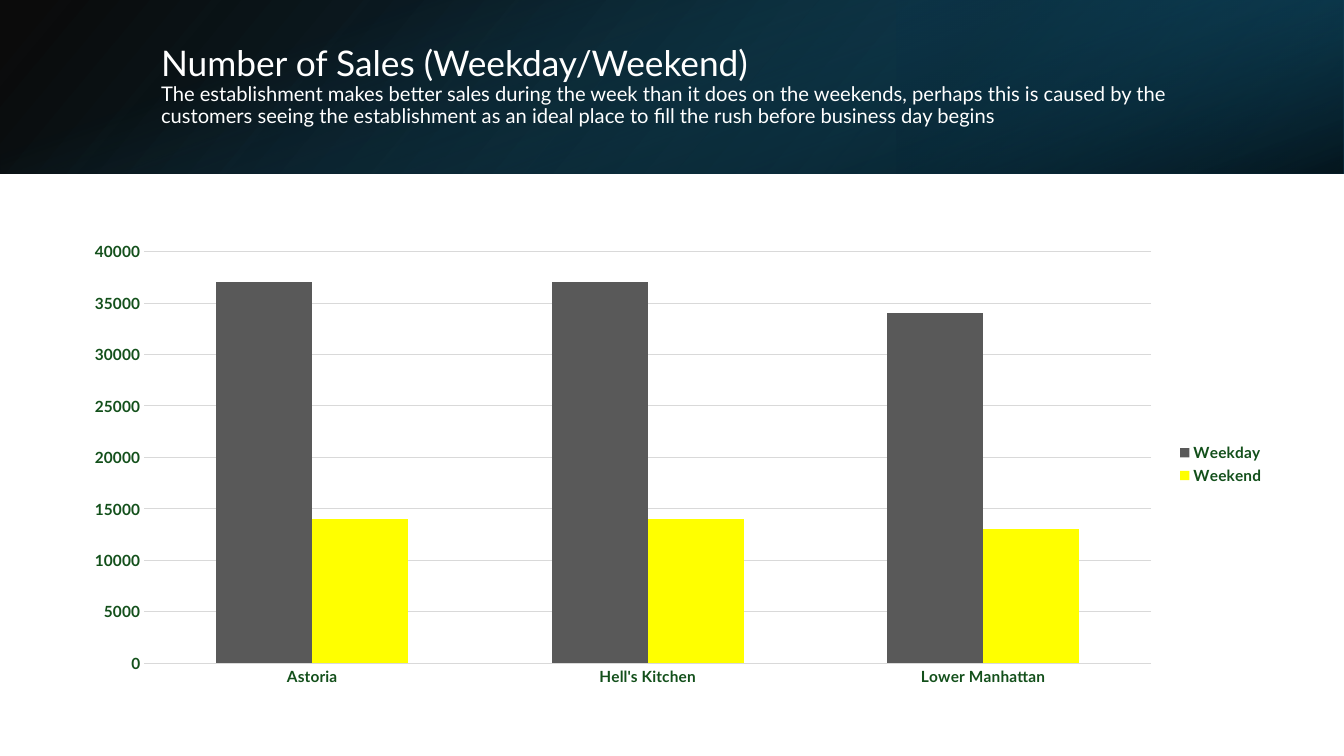
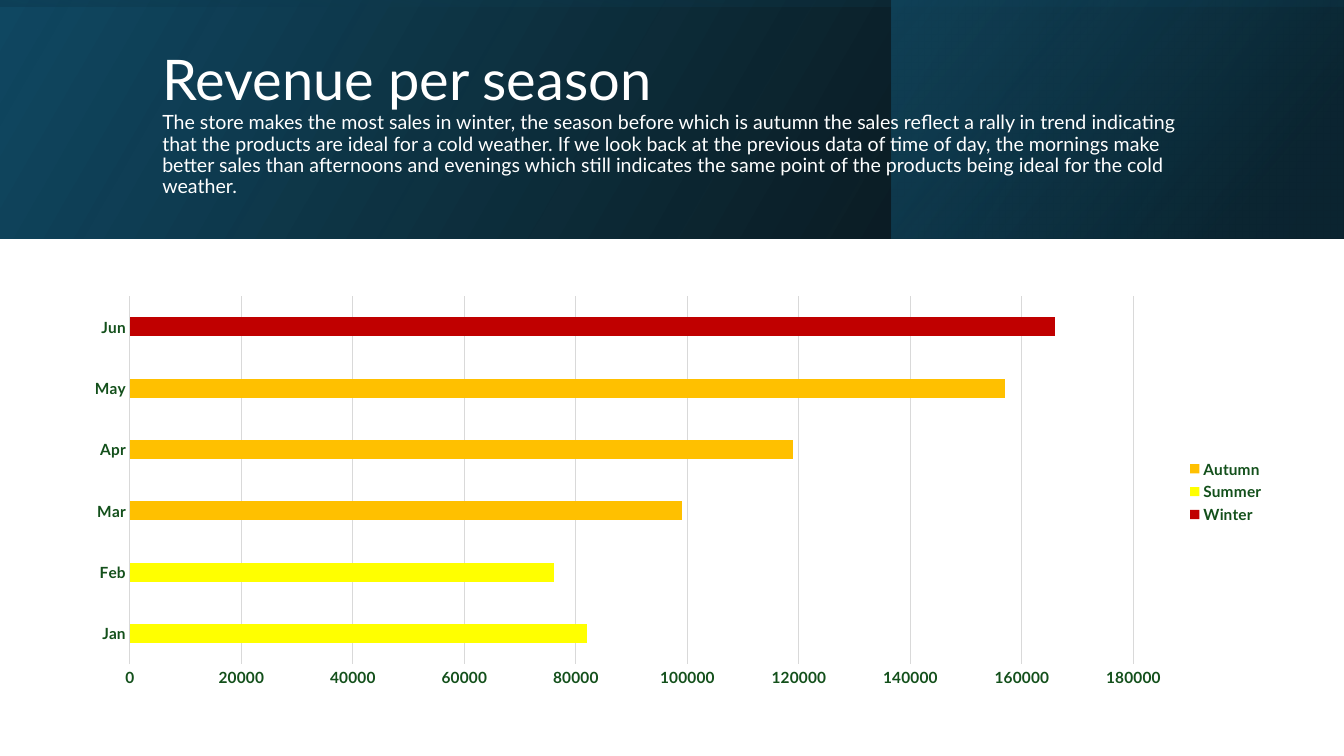
import pptx
import pptx.util
import pptx.chart.data
import pptx.dml.color
import pptx.enum.chart
import pptx.enum.shapes
import pptx.enum.text
import lxml.etree
from pptx.oxml.ns import qn
from pptx.util import Cm

SLIDE_WIDTH, SLIDE_HEIGHT = 33.87, 19.05
CHART_LEFT, CHART_WIDTH, CHART_BOTTOM = 1.78, 30.35, 17.52


def rgb(code):
    return pptx.dml.color.RGBColor.from_string(code)


class SalesDeck:
    typeface = "Lato"
    heading_color = "FFFFFF"
    label_color = "13501B"
    grid_color = "D9D9D9"

    def __init__(self):
        self.deck = pptx.Presentation()
        self.deck.slide_width = Cm(SLIDE_WIDTH)
        self.deck.slide_height = Cm(SLIDE_HEIGHT)
        self.slide = None

    def new_slide(self):
        self.slide = self.deck.slides.add_slide(self.deck.slide_layouts[6])

    def gradient(self, left, top, width, height, stops, angle, rotation=0, flip=True):
        panel = self.slide.shapes.add_shape(
            pptx.enum.shapes.MSO_SHAPE.RECTANGLE,
            Cm(left), Cm(top), Cm(width), Cm(height))
        panel.shadow.inherit = False
        panel.line.fill.background()
        panel.rotation = rotation
        if flip:
            panel._element.spPr.xfrm.set("flipH", "1")
        panel.fill.gradient()
        panel.fill.gradient_angle = (360 - angle) % 360
        for stop, (position, color, opacity) in zip(panel.fill.gradient_stops, stops):
            stop.position = position / 100
            stop.color.rgb = rgb(color)
            color_node = stop._gs.find(qn("a:srgbClr"))
            lxml.etree.SubElement(color_node, qn("a:alpha"), val=str(opacity * 1000))

    def band(self, height, base_angle, side_width, side, shade):
        self.gradient(0, 0, SLIDE_WIDTH, height,
                      [(0, "000000", 96), (100, "104862", 100)], base_angle)
        self.gradient(SLIDE_WIDTH - side_width, 0, side_width, height, angle=320, **side)
        self.gradient((SLIDE_WIDTH - height) / 2, (height - SLIDE_WIDTH) / 2,
                      height, SLIDE_WIDTH, **shade)

    def heading(self, left, top, width, height, title, title_size, remark, remark_size):
        frame = self.slide.shapes.add_textbox(
            Cm(left), Cm(top), Cm(width), Cm(height)).text_frame
        frame.word_wrap = True
        frame.vertical_anchor = pptx.enum.text.MSO_ANCHOR.MIDDLE
        paragraph = frame.paragraphs[0]
        paragraph.line_spacing = 0.9
        self.run(paragraph, title, title_size)
        paragraph.add_line_break()
        self.run(paragraph, remark, remark_size)

    def run(self, paragraph, words, size):
        run = paragraph.add_run()
        run.text = words
        run.font.name = self.typeface
        run.font.size = pptx.util.Pt(size)
        run.font.color.rgb = rgb(self.heading_color)

    def label(self, font):
        font.name = self.typeface
        font.size = pptx.util.Pt(11)
        font.bold = True
        font.color.rgb = rgb(self.label_color)

    def hairline(self, line):
        line.color.rgb = rgb(self.grid_color)
        line.width = pptx.util.Pt(0.75)

    def chart(self, kind, top, categories, series, gap, overlap, maximum, step,
              baseline=False):
        figures = pptx.chart.data.CategoryChartData()
        figures.categories = categories
        for name, values, _ in series:
            figures.add_series(name, values)
        chart = self.slide.shapes.add_chart(
            kind, Cm(CHART_LEFT), Cm(top), Cm(CHART_WIDTH), Cm(CHART_BOTTOM - top),
            figures).chart
        chart.has_title = False
        self.label(chart.font)
        chart.has_legend = True
        chart.legend.position = pptx.enum.chart.XL_LEGEND_POSITION.RIGHT
        chart.legend.include_in_layout = False
        self.label(chart.legend.font)
        for axis in (chart.category_axis, chart.value_axis):
            axis.major_tick_mark = pptx.enum.chart.XL_TICK_MARK.NONE
            axis.minor_tick_mark = pptx.enum.chart.XL_TICK_MARK.NONE
            axis.format.line.fill.background()
            self.label(axis.tick_labels.font)
        if baseline:
            self.hairline(chart.category_axis.format.line)
        chart.value_axis.minimum_scale = 0
        chart.value_axis.maximum_scale = maximum
        chart.value_axis.major_unit = step
        chart.value_axis.has_major_gridlines = True
        self.hairline(chart.value_axis.major_gridlines.format.line)
        plot = chart.plots[0]
        plot.vary_by_categories = False
        plot.gap_width = gap
        plot.overlap = overlap
        for bars, (_, _, color) in zip(plot.series, series):
            bars.invert_if_negative = False
            bars.format.fill.solid()
            bars.format.fill.fore_color.rgb = rgb(color)


def weekday_slide(deck):
    deck.new_slide()
    deck.band(
        4.37, 140, 11.28,
        side={"stops": [(19, "0B3041", 68), (100, "156082", 79)], "rotation": 180},
        shade={"stops": [(23, "156082", 0), (99, "000000", 74)], "angle": 340,
               "rotation": 90, "flip": False})
    deck.heading(
        3.81, 0.97, 27.89, 2.44,
        "Number of Sales (Weekday/Weekend)", 25.2,
        "The establishment makes better sales during the week than it does on the "
        "weekends, perhaps this is caused by the customers seeing the establishment "
        "as an ideal place to fill the rush before business day begins", 14.4)
    deck.chart(
        pptx.enum.chart.XL_CHART_TYPE.COLUMN_CLUSTERED, 5.87,
        ["Astoria", "Hell's Kitchen", "Lower Manhattan"],
        [("Weekday", [37000, 37000, 34000], "595959"),
         ("Weekend", [14000, 14000, 13000], "FFFF00")],
        gap=150, overlap=0, maximum=40000, step=5000)


def season_slide(deck):
    deck.new_slide()
    deck.band(
        6.02, 330, 11.4,
        side={"stops": [(19, "0B3041", 68), (100, "156082", 48)]},
        shade={"stops": [(23, "104862", 16), (99, "000000", 45)], "angle": 350,
               "rotation": 270})
    deck.heading(
        3.84, 0.97, 27, 4.37,
        "Revenue per season", 40,
        "The store makes the most sales in winter, the season before which is autumn "
        "the sales reflect a rally in trend indicating that the products are ideal for "
        "a cold weather. If we look back at the previous data of time of day, the "
        "mornings make better sales than afternoons and evenings which still indicates "
        "the same point of the products being ideal for the cold weather.", 14)
    deck.chart(
        pptx.enum.chart.XL_CHART_TYPE.BAR_STACKED, 7.26,
        ["Jan", "Feb", "Mar", "Apr", "May", "Jun"],
        [("Autumn", [None, None, 99000, 119000, 157000, None], "FFC000"),
         ("Summer", [82000, 76000, None, None, None, None], "FFFF00"),
         ("Winter", [None, None, None, None, None, 166000], "C00000")],
        gap=219, overlap=100, maximum=180000, step=20000, baseline=True)


def main():
    deck = SalesDeck()
    weekday_slide(deck)
    season_slide(deck)
    deck.deck.save("out.pptx")


if __name__ == "__main__":
    main()
